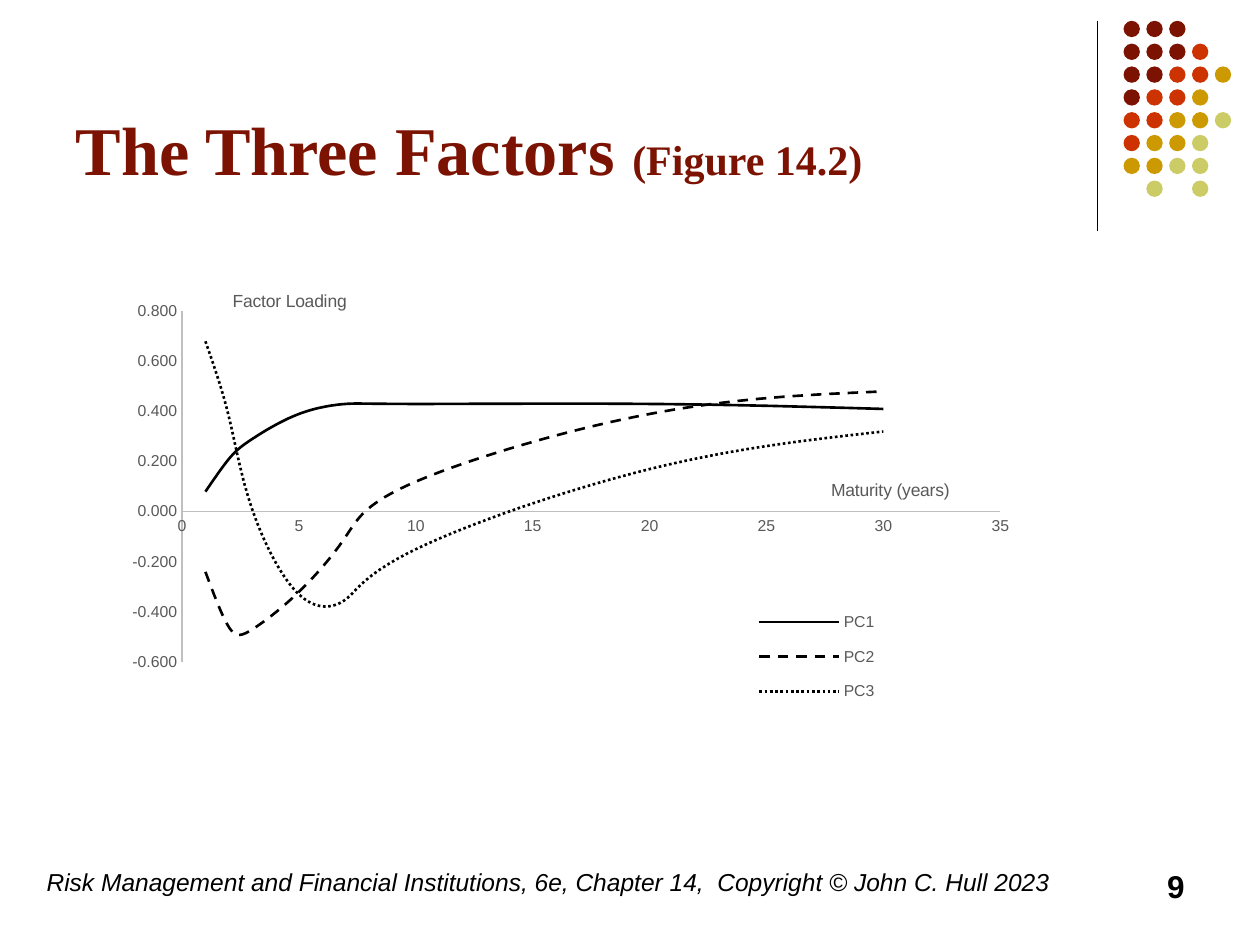
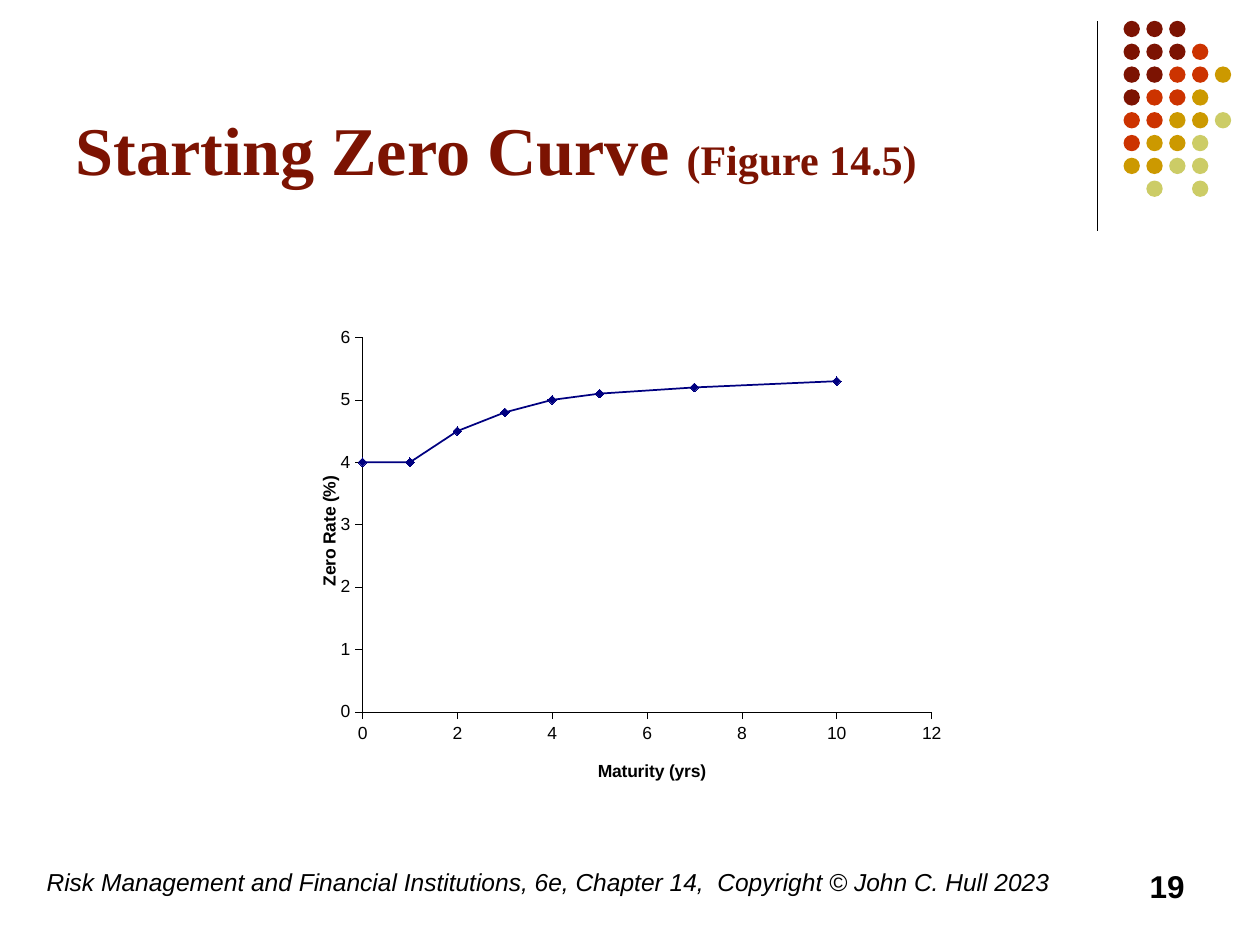
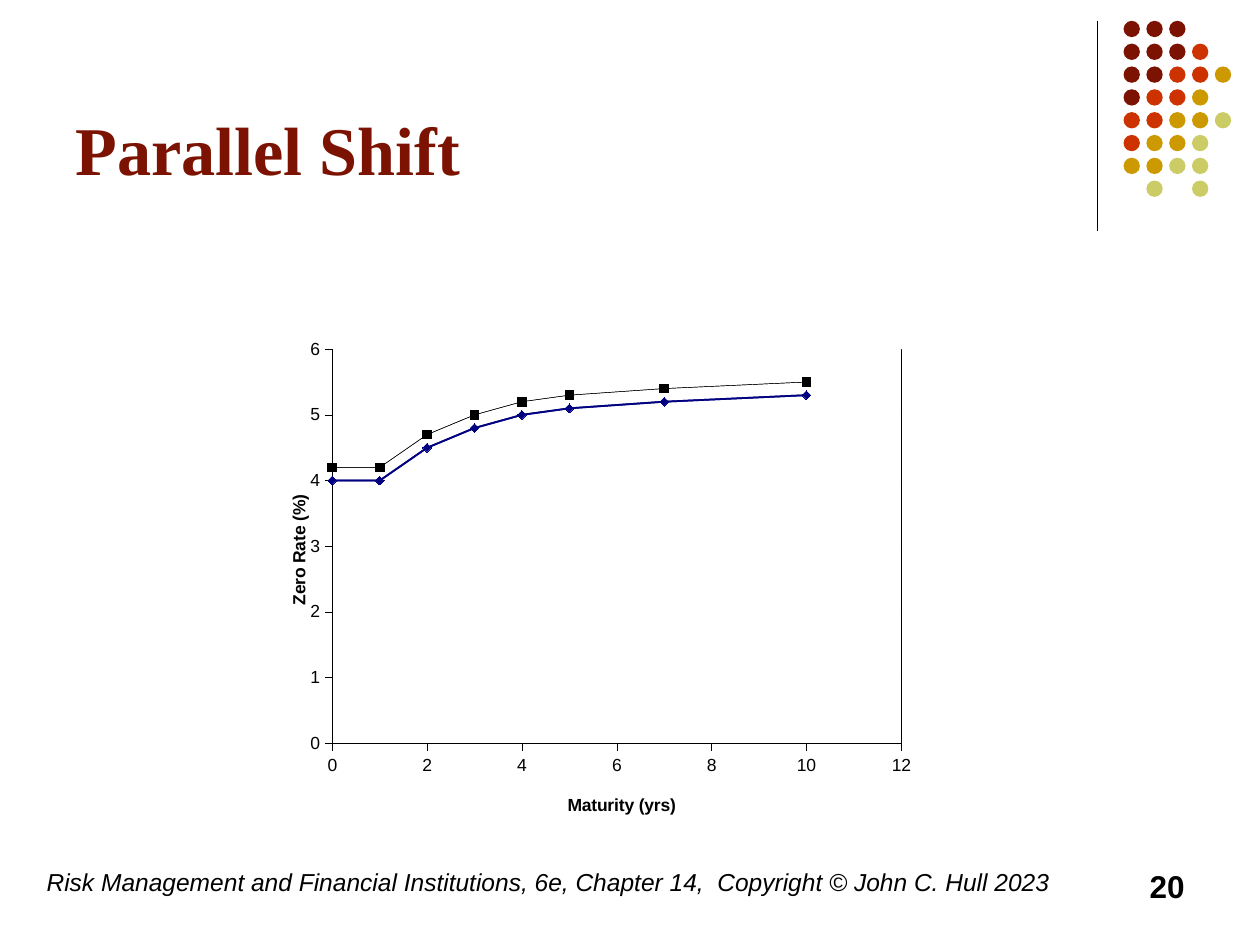
from lxml import etree
from pptx import Presentation
from pptx.chart.data import XyChartData
from pptx.dml.color import RGBColor
from pptx.enum.chart import XL_CHART_TYPE, XL_LEGEND_POSITION, XL_MARKER_STYLE, XL_TICK_MARK
from pptx.enum.dml import MSO_LINE
from pptx.enum.shapes import MSO_CONNECTOR, MSO_SHAPE
from pptx.enum.text import MSO_ANCHOR, MSO_AUTO_SIZE, PP_ALIGN
from pptx.oxml import parse_xml
from pptx.oxml.ns import nsdecls, qn
from pptx.util import Cm, Pt

SMOOTH = XL_CHART_TYPE.XY_SCATTER_SMOOTH_NO_MARKERS
STRAIGHT = XL_CHART_TYPE.XY_SCATTER_LINES
LEGEND_BOTTOM = XL_LEGEND_POSITION.BOTTOM
DIAMOND, SQUARE, NO_MARKER = XL_MARKER_STYLE.DIAMOND, XL_MARKER_STYLE.SQUARE, XL_MARKER_STYLE.NONE
TICK_NONE, TICK_OUT = XL_TICK_MARK.NONE, XL_TICK_MARK.OUTSIDE
SOLID, DASH, DOT = MSO_LINE.SOLID, MSO_LINE.DASH, MSO_LINE.ROUND_DOT
STRAIGHT_LINE, OVAL = MSO_CONNECTOR.STRAIGHT, MSO_SHAPE.OVAL
BOTTOM, TOP = MSO_ANCHOR.BOTTOM, MSO_ANCHOR.TOP
NO_AUTOFIT = MSO_AUTO_SIZE.NONE
LEFT, RIGHT = PP_ALIGN.LEFT, PP_ALIGN.RIGHT

COLORS = {
    "maroon": "7C1302", "red": "CC3300", "gold": "CC9900", "lime": "CCCC66",
    "black": "000000", "white": "FFFFFF", "navy": "000080",
    "label": "595959", "axis": "BFBFBF",
}
SERIF, SANS = "Times New Roman", "Arial"
FOOTER = "Risk Management and Financial Institutions, 6e, Chapter 14,  Copyright © John C. Hull 2023"

DOT_COLORS = {"M": "maroon", "R": "red", "G": "gold", "L": "lime"}
DOT_ROWS = ["MMM", "MMMR", "MMRRG", "MRRG", "RRGGL", "RGGL", "GGLL", " L L"]
DOT_LEFT, DOT_TOP, DOT_PITCH, DOT_SIZE = 22.65, 0.42, 0.46, 0.33

LOADING_YEARS = [1, 2, 3, 5, 7, 10, 20, 30]
LOADINGS = [
    ("PC1", [0.08, 0.21, 0.29, 0.39, 0.43, 0.43, 0.43, 0.41], SOLID),
    ("PC2", [-0.24, -0.46, -0.47, -0.32, -0.1, 0.12, 0.39, 0.48], DASH),
    ("PC3", [0.68, 0.38, 0.01, -0.33, -0.35, -0.15, 0.17, 0.32], DOT),
]
ZERO_YEARS = [0, 1, 2, 3, 4, 5, 7, 10]
START_RATES = [4, 4, 4.5, 4.8, 5, 5.1, 5.2, 5.3]
SHIFTED_RATES = [4.2, 4.2, 4.7, 5, 5.2, 5.3, 5.4, 5.5]
# values, colour, line width, marker
START_CURVE = (START_RATES, "navy", 1, DIAMOND)
SHIFT_CURVES = [
    START_CURVE,
    (SHIFTED_RATES, "black", 0.25, SQUARE),
    (START_RATES, "navy", 1, NO_MARKER),
    (SHIFTED_RATES, "black", 0.25, NO_MARKER),
]


def rgb(name):
    return RGBColor.from_string(COLORS[name])


def style_font(font, size, color="black", name=SANS, bold=False, italic=False):
    font.name, font.size, font.bold, font.italic = name, Pt(size), bold, italic
    font.color.rgb = rgb(color)


def style_line(line, color, width, dash=SOLID):
    line.color.rgb = rgb(color)
    line.width = Pt(width)
    line.dash_style = dash


def add_run(p, text, size, **style):
    r = p.add_run()
    r.text = text
    style_font(r.font, size, **style)


def add_text(slide, text, box, size, align=LEFT, **style):
    tf = slide.shapes.add_textbox(*map(Cm, box)).text_frame
    tf.word_wrap = True
    tf.vertical_anchor = TOP
    p = tf.paragraphs[0]
    p.alignment = align
    add_run(p, text, size, **style)


def set_title(slide, text, figure):
    sp = slide.shapes.title
    sp.left, sp.top, sp.width, sp.height = map(Cm, (1.27, 0.33, 20.96, 3.61))
    tf = sp.text_frame
    tf.auto_size = NO_AUTOFIT
    tf.vertical_anchor = BOTTOM
    p = tf.paragraphs[0]
    p.alignment = LEFT
    style = {"color": "maroon", "name": SERIF, "bold": True}
    add_run(p, text, 39, **style)
    if figure:
        add_run(p, figure, 24, **style)


def add_slide(prs, number, title, figure=""):
    slide = prs.slides.add_slide(prs.slide_layouts[5])
    set_title(slide, title, figure)
    add_text(slide, FOOTER, (0.69, 17.35, 21.01, 1.27), 14, italic=True)
    add_text(slide, str(number), (18.21, 17.35, 5.92, 1.27), 18, align=RIGHT, bold=True)
    return slide


def add_corner_rule(slide):
    line = slide.shapes.add_connector(STRAIGHT_LINE, Cm(22.12), Cm(0.43), Cm(22.12), Cm(4.65))
    style_line(line.line, "black", 0.75)
    etree.SubElement(line.element.find(qn("p:spPr")), qn("a:effectLst"))
    return line


def add_corner_dots(slide):
    group = slide.shapes.add_group_shape()
    for row, codes in enumerate(DOT_ROWS):
        for col, code in enumerate(codes):
            if code == " ":
                continue
            sp = group.shapes.add_shape(
                OVAL, Cm(DOT_LEFT + col * DOT_PITCH), Cm(DOT_TOP + row * DOT_PITCH),
                Cm(DOT_SIZE), Cm(DOT_SIZE))
            sp.shadow.inherit = False
            sp.fill.solid()
            sp.fill.fore_color.rgb = rgb(DOT_COLORS[code])
            sp.line.fill.background()
    return group


def move_to_layout(slide, shapes):
    """Put shapes into the slide's layout, so that all its slides show them."""
    tree = slide.slide_layout.shapes.element
    for s in shapes:
        tree.append(s.element)
    for number, props in enumerate(tree.iter(qn("p:cNvPr")), 1):
        props.set("id", str(number))


def place(element, **fractions):
    """Fix a chart part at x, y, w, h, given as fractions of the chart."""
    old = element.find(qn("c:layout"))
    if old is not None:
        element.remove(old)
    layout = etree.Element(qn("c:layout"))
    manual = etree.SubElement(layout, qn("c:manualLayout"))
    if element.tag == qn("c:plotArea"):
        etree.SubElement(manual, qn("c:layoutTarget"), val="inner")
    for key in "xy":
        etree.SubElement(manual, qn(f"c:{key}Mode"), val="edge")
    for key, value in fractions.items():
        etree.SubElement(manual, qn(f"c:{key}"), val=str(value))
    leading = [e for e in element if e.tag in (qn("c:tx"), qn("c:legendPos"))]
    element.insert(len(leading), layout)


def area_format(border=None):
    if border:
        line = f'<a:ln w="3175"><a:solidFill><a:srgbClr val="{COLORS[border]}"/></a:solidFill></a:ln>'
    else:
        line = "<a:ln><a:noFill/></a:ln>"
    return parse_xml(
        f'<c:spPr {nsdecls("c", "a")}><a:solidFill><a:srgbClr val="{COLORS["white"]}"/>'
        f'</a:solidFill>{line}</c:spPr>')


def add_scatter(slide, kind, box, years, curves, plot, border=None):
    """Add a scatter chart of (name, values) curves over the same years."""
    data = XyChartData()
    for name, values in curves:
        series = data.add_series(name)
        for x, y in zip(years, values):
            series.add_data_point(x, y)
    chart = slide.shapes.add_chart(kind, *map(Cm, box), data).chart
    style_font(chart.font, 10)
    chart.has_title = chart.has_legend = False
    chart.plots[0].vary_by_categories = False
    for smooth in chart.element.iter(qn("c:smooth")):
        smooth.set("val", "1" if kind == SMOOTH else "0")
    chart.element.find(qn("c:chart")).addnext(area_format())
    area = chart.element.find(".//" + qn("c:plotArea"))
    place(area, **plot)
    area.append(area_format(border))
    return chart


def format_axis(axis, low, high, step, tick, size, color, line, number_format="General"):
    axis.minimum_scale, axis.maximum_scale, axis.major_unit = low, high, step
    axis.has_major_gridlines = False
    axis.major_tick_mark, axis.minor_tick_mark = tick, TICK_NONE
    style_font(axis.tick_labels.font, size, color)
    axis.tick_labels.number_format = number_format
    axis.tick_labels.number_format_is_linked = False
    style_line(axis.format.line, *line)


def set_chart_text(title, text, x, y, **style):
    add_run(title.text_frame.paragraphs[0], text, 10, **style)
    place(title.element, x=x, y=y)


def add_loading_chart(slide):
    chart = add_scatter(
        slide, SMOOTH, (2.31, 4.93, 18.39, 10.59), LOADING_YEARS,
        [(name, values) for name, values, _ in LOADINGS],
        {"x": 0.074, "y": 0.127, "w": 0.897, "h": 0.668})
    for s, (_, _, dash) in zip(chart.plots[0].series, LOADINGS):
        style_line(s.format.line, "black", 1.5, dash)
        s.marker.style = NO_MARKER
    look = {"tick": TICK_NONE, "size": 9, "color": "label", "line": ("axis", 0.75)}
    format_axis(chart.category_axis, 0, 35, 5, **look)
    format_axis(chart.value_axis, -0.6, 0.8, 0.2, number_format="0.000", **look)
    set_chart_text(chart.chart_title, "Factor Loading", 0.126, 0.08, color="label")
    set_chart_text(chart.category_axis.axis_title, "Maturity (years)", 0.782, 0.44, color="label")
    chart.has_legend = True
    chart.legend.position = LEGEND_BOTTOM
    chart.legend.include_in_layout = False
    style_font(chart.legend.font, 9, "label")
    place(chart.element.find(".//" + qn("c:legend")), x=0.69, y=0.67, w=0.16, h=0.23)


def add_zero_chart(slide, box, curves, border=None):
    named = [(f"Series {i}", curve[0]) for i, curve in enumerate(curves, 1)]
    chart = add_scatter(slide, STRAIGHT, box, ZERO_YEARS, named,
                        {"x": 0.113, "y": 0.066, "w": 0.843, "h": 0.76}, border)
    for s, (_, color, width, marker) in zip(chart.plots[0].series, curves):
        style_line(s.format.line, color, width)
        s.marker.style = marker
        if marker != NO_MARKER:
            s.marker.size = 5
            s.marker.format.fill.solid()
            s.marker.format.fill.fore_color.rgb = rgb(color)
            style_line(s.marker.format.line, color, 0.25)
    look = {"tick": TICK_OUT, "size": 10, "color": "black", "line": ("black", 0.25)}
    format_axis(chart.category_axis, 0, 12, 2, **look)
    format_axis(chart.value_axis, 0, 6, 1, **look)
    style_line(chart.value_axis.major_gridlines.format.line, "white", 0.25)
    set_chart_text(chart.category_axis.axis_title, "Maturity (yrs)", 0.457, 0.917, bold=True)
    set_chart_text(chart.value_axis.axis_title, "Zero Rate (%)", 0.042, 0.341, bold=True)


def main():
    prs = Presentation()
    prs.slide_width, prs.slide_height = Cm(25.4), Cm(19.05)

    factors = add_slide(prs, 9, "The Three Factors ", "(Figure 14.2)")
    move_to_layout(factors, [add_corner_rule(factors), add_corner_dots(factors)])
    add_loading_chart(factors)

    start = add_slide(prs, 19, "Starting Zero Curve ", "(Figure 14.5)")
    add_zero_chart(start, (5.77, 6.15, 13.61, 9.93), [START_CURVE])

    shift = add_slide(prs, 20, "Parallel Shift")
    add_zero_chart(shift, (5.16, 6.35, 13.61, 10.46), SHIFT_CURVES, border="black")

    prs.save("out.pptx")


if __name__ == "__main__":
    main()
